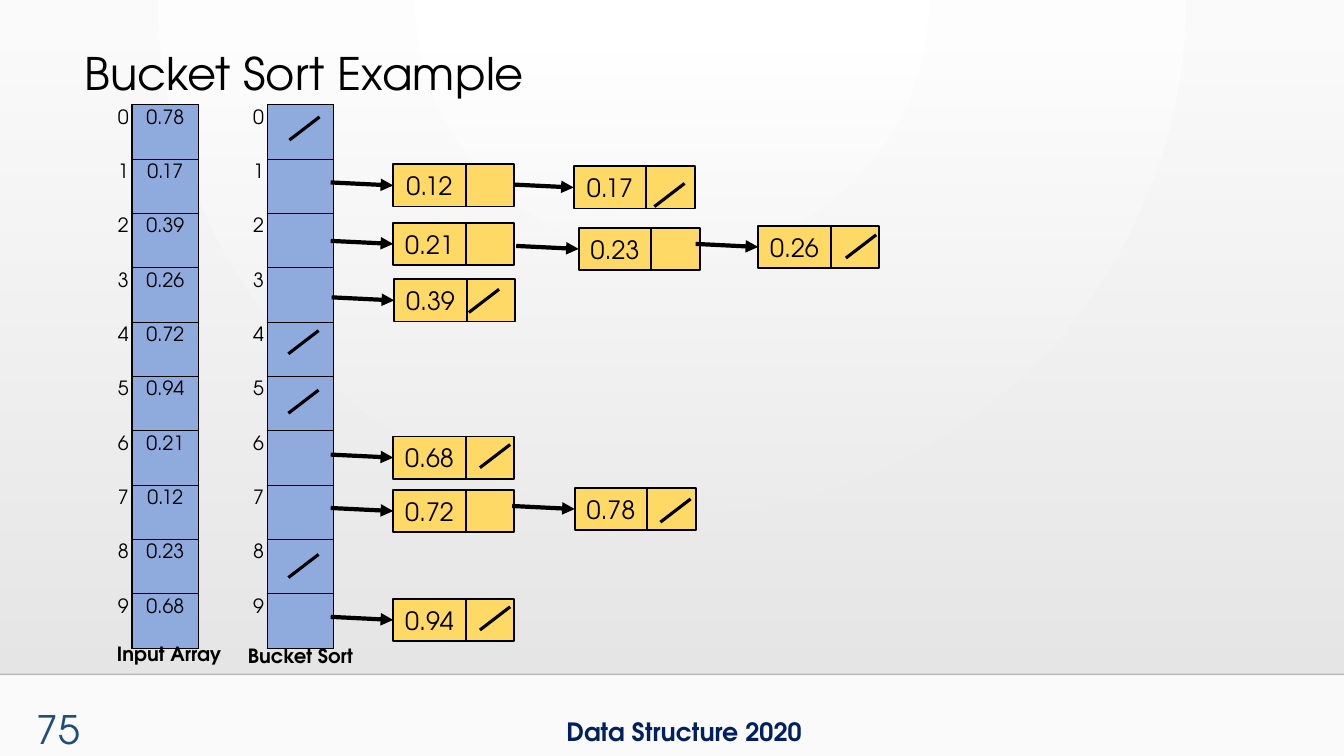
import pptx
import pptx.dml.color
import pptx.enum.shapes
import pptx.enum.text
import pptx.oxml
import pptx.oxml.ns
import pptx.util

Inches = pptx.util.Inches
Pt = pptx.util.Pt
qn = pptx.oxml.ns.qn
RGBColor = pptx.dml.color.RGBColor
PP_ALIGN = pptx.enum.text.PP_ALIGN
SHAPE = pptx.enum.shapes.MSO_SHAPE
NAMESPACE = 'xmlns:a="http://schemas.openxmlformats.org/drawingml/2006/main"'
FONT = "TeX Gyre Adventor"
COLORS = {
    "black": "000000",
    "bucket": "8FAADC",
    "node": "FFD966",
    "footer": "002060",
    "number": "1F4E79",
    "divider": "000001",
}


def write(para, text, size, color="black", bold=False):
    span = para.add_run()
    span.text = text
    span.font.name = FONT
    span.font.size = Pt(size)
    span.font.bold = bold
    span.font.color.rgb = RGBColor.from_string(COLORS[color])


def draw_line(shapes, start, end, weight, color="black", arrow=False):
    line = shapes.add_connector(
        pptx.enum.shapes.MSO_CONNECTOR.STRAIGHT,
        *[Inches(value) for value in start + end])
    line.line.color.rgb = RGBColor.from_string(COLORS[color])
    line.line.width = Pt(weight)
    if arrow:
        line.line._get_or_add_ln().append(
            pptx.oxml.parse_xml(f'<a:tailEnd {NAMESPACE} type="triangle"/>'))
    line._element.spPr.append(pptx.oxml.parse_xml(f"<a:effectLst {NAMESPACE}/>"))
    return line


deck = pptx.Presentation()
deck.slide_width = Inches(13.33)
deck.slide_height = Inches(7.5)
page = deck.slides.add_slide(deck.slide_layouts[6])

page.background.fill.solid()
panel = page.shapes.add_shape(
    SHAPE.RECTANGLE, 0, Inches(0.51), Inches(13.33), Inches(6.18))
panel.shadow.inherit = False
panel.fill.solid()
panel.line.fill.background()

gradients = [
    (page.background._cSld, "FFFFFF", 100, "FAFAFA",
     '<a:path path="circle"><a:fillToRect l="43000" t="0" r="43000" b="100000"/></a:path>'),
    (panel._element.spPr, "E7E6E6", 0, "E8E7E7", '<a:lin ang="5400000" scaled="0"/>'),
]
for owner, first, opacity, last, shading in gradients:
    solid = next(owner.iter(qn("a:solidFill")))
    solid.getparent().replace(solid, pptx.oxml.parse_xml(
        f'<a:gradFill {NAMESPACE} rotWithShape="1"><a:gsLst>'
        f'<a:gs pos="0"><a:srgbClr val="{first}"><a:alpha val="{opacity * 1000}"/></a:srgbClr></a:gs>'
        f'<a:gs pos="100000"><a:srgbClr val="{last}"/></a:gs>'
        f'</a:gsLst>{shading}</a:gradFill>'))

divider = draw_line(page.shapes, (0, 6.69), (13.33, 6.69), 1, "divider")
divider_color = next(divider._element.spPr.iter(qn("a:srgbClr")))
divider_color.append(pptx.oxml.parse_xml(f'<a:alpha {NAMESPACE} val="20000"/>'))

values = ["0.78", "0.17", "0.39", "0.26", "0.72", "0.94", "0.21", "0.12", "0.23", "0.68"]
for left, entries in [(1.07, values), (2.41, [""] * 10)]:
    frame = page.shapes.add_table(
        10, 2, Inches(left), Inches(1.04), Inches(0.9), Inches(5.39))
    table = frame.table
    table.first_row = False
    table.horz_banding = False
    style = next(frame._element.iter(qn("a:tableStyleId")))
    style.text = "{2D5ABB26-0587-4C30-8999-92F81FD0307C}"
    table.columns[0].width = Inches(0.24)
    table.columns[1].width = Inches(0.66)
    for index, entry in enumerate(entries):
        table.rows[index].height = Inches(0.539)
        label, slot = table.cell(index, 0), table.cell(index, 1)
        label.fill.background()
        slot.fill.solid()
        slot.fill.fore_color.rgb = RGBColor.from_string(COLORS["bucket"])
        for cell, text in [(label, str(index)), (slot, entry)]:
            para = cell.text_frame.paragraphs[0]
            para.alignment = PP_ALIGN.CENTER
            if text:
                write(para, text, 14)
        for position, side in enumerate(["lnL", "lnR", "lnT", "lnB"]):
            slot._tc.get_or_add_tcPr().insert(position, pptx.oxml.parse_xml(
                f'<a:{side} {NAMESPACE} w="12700"><a:solidFill>'
                f'<a:srgbClr val="{COLORS["black"]}"/></a:solidFill></a:{side}>'))

nodes = [
    ("0.23", 5.74, 2.26), ("0.17", 5.69, 1.65), ("0.21", 3.9, 2.21),
    ("0.12", 3.9, 1.63), ("0.26", 7.52, 2.24), ("0.39", 3.91, 2.77),
    ("0.68", 3.9, 4.33), ("0.72", 3.9, 4.86), ("0.78", 5.7, 4.84),
    ("0.94", 3.9, 5.94),
]
for value, left, top in nodes:
    node = page.shapes.add_group_shape()
    for text, offset, width in [(value, 0, 0.72), ("", 0.72, 0.48)]:
        box = node.shapes.add_shape(
            SHAPE.RECTANGLE, Inches(left + offset), Inches(top), Inches(width), Inches(0.42))
        box.shadow.inherit = False
        box.fill.solid()
        box.fill.fore_color.rgb = RGBColor.from_string(COLORS["node"])
        box.line.color.rgb = RGBColor.from_string(COLORS["black"])
        box.line.width = Pt(1.25)
        if text:
            box.text_frame.vertical_anchor = pptx.enum.text.MSO_ANCHOR.MIDDLE
            para = box.text_frame.paragraphs[0]
            para.alignment = PP_ALIGN.CENTER
            write(para, text, 18)
    draw_line(node.shapes, (left - 0.62, top + 0.18), (left, top + 0.21), 3, arrow=True)

null_marks = [
    (6.49, 2.05), (4.76, 6.25), (4.76, 4.64), (6.55, 5.18), (8.39, 2.56),
    (2.86, 5.73), (2.86, 4.1), (2.86, 3.51), (2.87, 1.39), (4.65, 3.1),
]
for left, bottom in null_marks:
    draw_line(page.shapes, (left, bottom), (left + 0.3, bottom - 0.23), 2.25)

captions = [
    ("Data Structure 2020", 5.52, 7.06, 2.61, 0.4, 18, "footer", True, False, PP_ALIGN.LEFT),
    ("Bucket Sort Example", 0.74, 0.4, 4.62, 0.64, 32, "black", False, False, PP_ALIGN.LEFT),
    ("Input Array", 1.06, 6.32, 1.82, 0.34, 14, "black", True, True, PP_ALIGN.LEFT),
    ("Bucket Sort", 2.36, 6.34, 1.67, 0.34, 14, "black", True, True, PP_ALIGN.LEFT),
    ("75", 0, 6.95, 0.89, 0.55, 28, "number", False, True, PP_ALIGN.RIGHT),
]
for text, left, top, width, height, size, color, bold, wrap, alignment in captions:
    box = page.shapes.add_textbox(Inches(left), Inches(top), Inches(width), Inches(height))
    box.text_frame.word_wrap = wrap
    para = box.text_frame.paragraphs[0]
    para.alignment = alignment
    write(para, text, size, color, bold)

deck.save("out.pptx")
